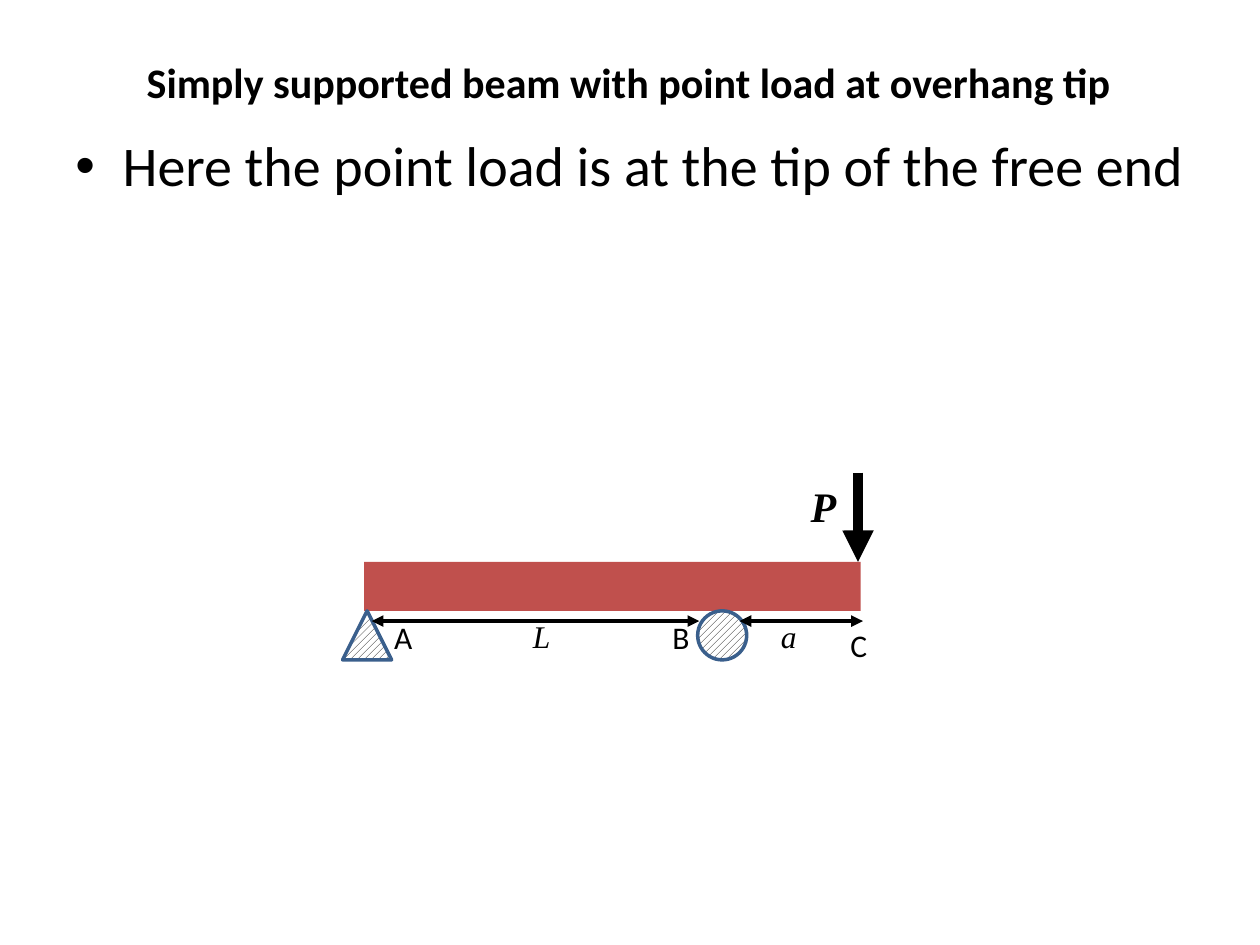
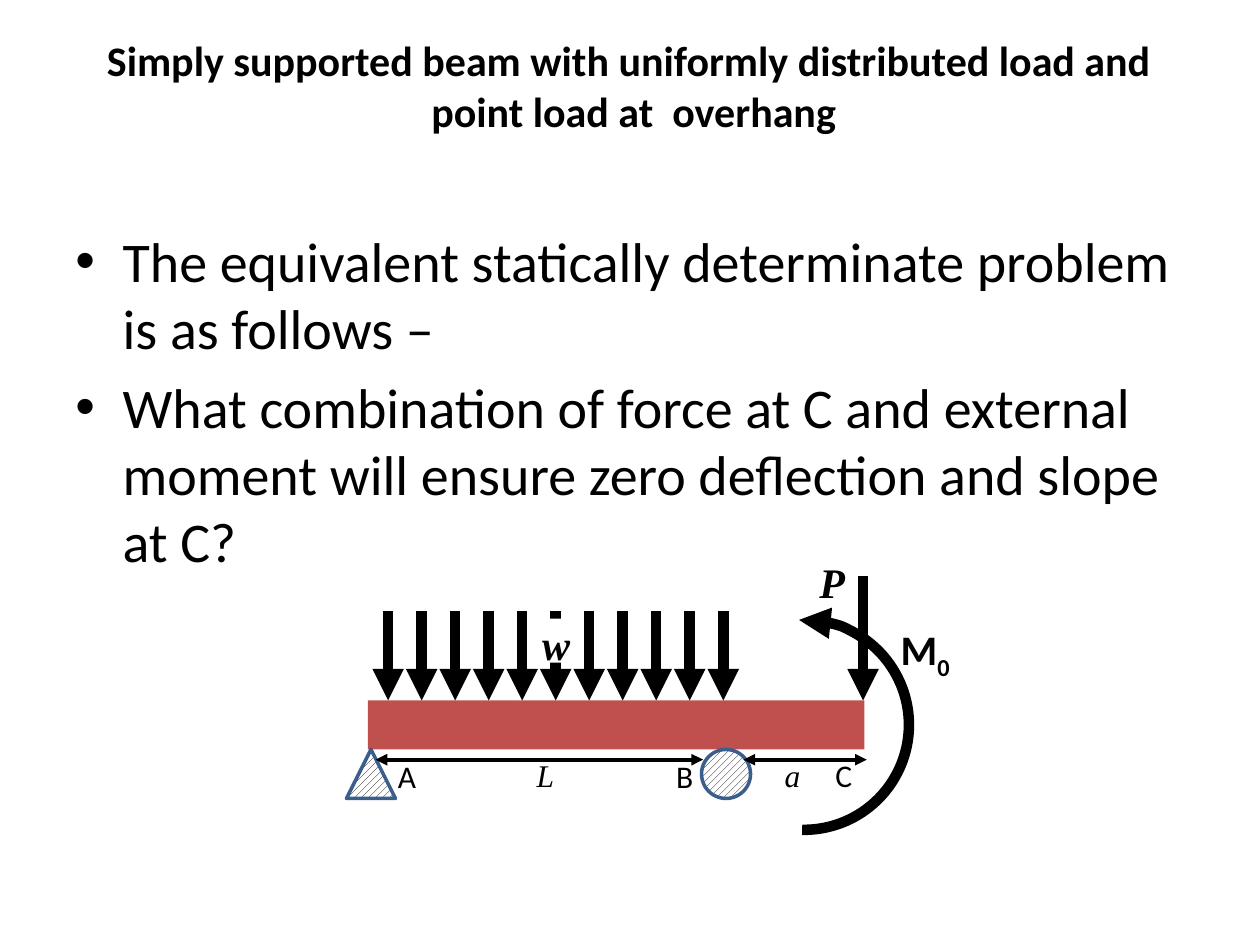
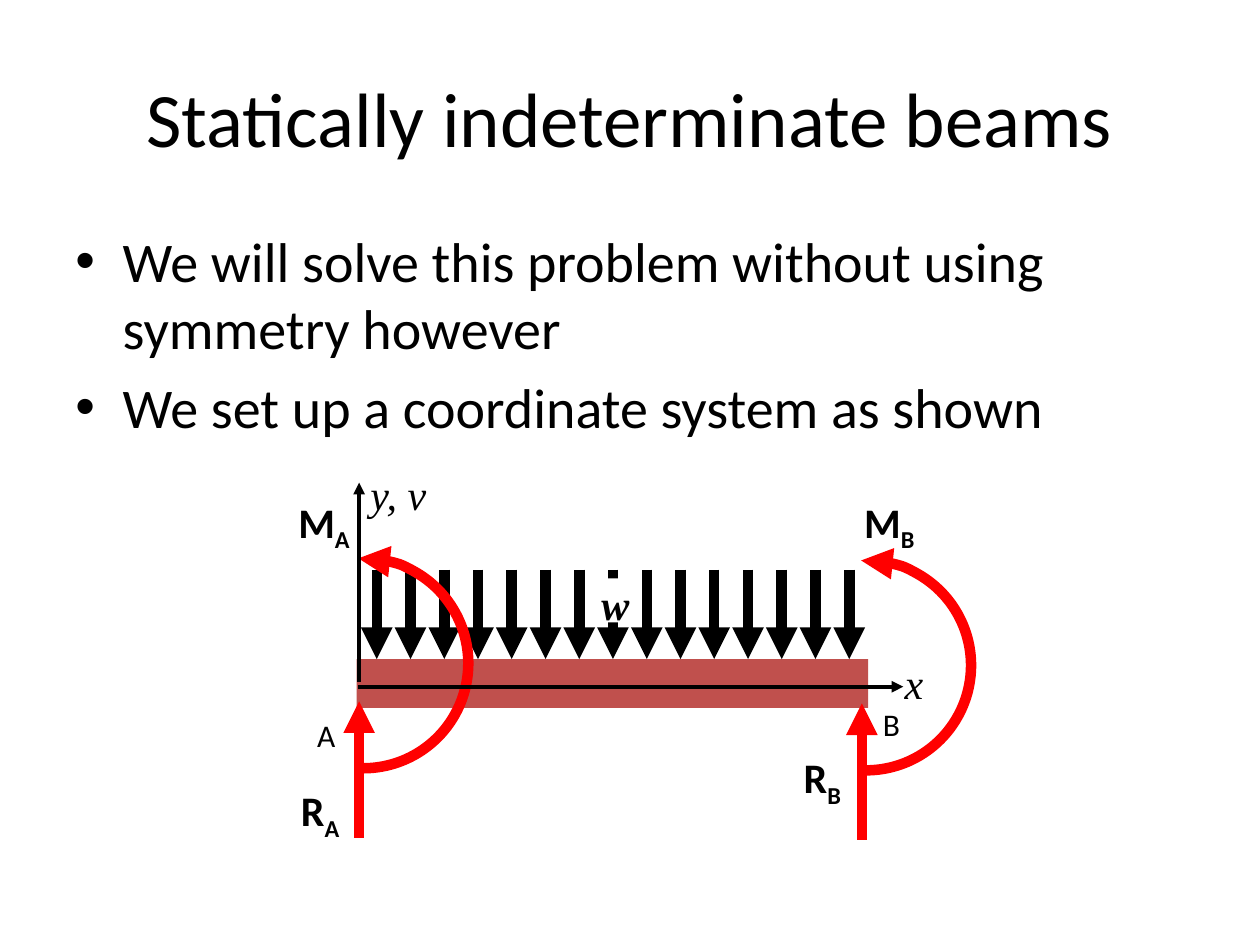
from lxml.etree import SubElement
from pptx import Presentation
from pptx.dml.color import RGBColor
from pptx.enum.dml import MSO_PATTERN
from pptx.enum.shapes import MSO_CONNECTOR, MSO_SHAPE
from pptx.enum.text import MSO_ANCHOR, PP_ALIGN
from pptx.oxml.ns import qn
from pptx.util import Pt

COLORS = {"ink": "000000", "paper": "FFFFFF", "beam": "C0504D",
          "support": "3A5F8C", "reaction": "FF0000"}
SANS, SERIF = "Calibri", "Times New Roman"
BEAM_DEPTH = SUPPORT = 28
LOAD_LENGTH = 51.1
HEAVY, THIN = 6, 2.25


def color(name):
    return RGBColor.from_string(COLORS[name])


def write_span(para, text, size=18, font=SANS, bold=False, italic=False, lowered=False):
    """Add one formatted run to a paragraph."""
    span = para.add_run()
    span.text = text
    span.font.size, span.font.name = Pt(size), font
    span.font.bold, span.font.italic = bold, italic
    span.font.color.rgb = color("ink")
    if lowered:
        span._r.get_or_add_rPr().set("baseline", "-25000")


def add_arrowheads(line, *ends):
    for end in ends:
        SubElement(line._get_or_add_ln(), qn(f"a:{end}"), type="triangle")


class BeamDeck:
    def __init__(self):
        self.deck = Presentation()
        self.deck.slide_width, self.deck.slide_height = Pt(720), Pt(540)
        self.page = None

    # Page text
    def new_page(self):
        self.page = self.deck.slides.add_slide(self.deck.slide_layouts[6])

    def text_box(self, left, top, width, height):
        box = self.page.shapes.add_textbox(Pt(left), Pt(top), Pt(width), Pt(height))
        box.text_frame.word_wrap = True
        return box

    def title(self, text, left=36, width=652.3, height=54, size=24, bold=True):
        frame = self.text_box(left, 21.6, width, height).text_frame
        frame.vertical_anchor = MSO_ANCHOR.MIDDLE
        para = frame.paragraphs[0]
        para.alignment = PP_ALIGN.CENTER
        write_span(para, text, size=size, bold=bold)

    def bullets(self, *items, top=126):
        frame = self.text_box(36, top, 648, 482.4 - top).text_frame
        for index, item in enumerate(items):
            para = frame.add_paragraph() if index else frame.paragraphs[0]
            if index:
                para.space_before = Pt(6.4)
            props = para._p.get_or_add_pPr()
            props.set("marL", str(Pt(27)))
            props.set("indent", str(-Pt(27)))
            SubElement(props, qn("a:buFont"), typeface="Arial")
            SubElement(props, qn("a:buChar"), char="•")
            write_span(para, item, size=32)

    # Labels
    def label(self, text, left, top, width=28, subscript=None, **style):
        para = self.text_box(left, top, width, 28.8).text_frame.paragraphs[0]
        write_span(para, text, **style)
        if subscript:
            write_span(para, subscript, lowered=True, **style)

    def symbol(self, text, left, top):
        self.label(text, left, top, font=SERIF, italic=True)

    def axis_name(self, text, left, top):
        self.label(text, left, top, width=57, size=24, font=SERIF, italic=True)

    def vector_name(self, text, subscript, left, top):
        self.label(text, left, top, width=50, subscript=subscript, size=24, bold=True)

    def load_name(self, text, left, top, height=28.8):
        box = self.text_box(left, top, 25.2, height)
        box.fill.solid()
        box.fill.fore_color.rgb = color("paper")
        frame = box.text_frame
        frame.margin_left = Pt(6)
        frame.margin_top = frame.margin_right = frame.margin_bottom = 0
        write_span(frame.paragraphs[0], text, size=24, font=SERIF, bold=True, italic=True)

    # Lines
    def arrow(self, start, end, weight=HEAVY, ink="ink", double=False):
        line = self.page.shapes.add_connector(
            MSO_CONNECTOR.STRAIGHT, *(Pt(value) for value in (*start, *end)))
        line.line.width = Pt(weight)
        line.line.color.rgb = color(ink)
        add_arrowheads(line.line, *(["headEnd"] if double else []), "tailEnd")
        SubElement(line._element.spPr, qn("a:effectLst"))

    def dimension(self, left, right, y):
        self.arrow((left, y), (right, y), THIN, double=True)

    def distributed_load(self, first, last, count, beam_top):
        top = beam_top - LOAD_LENGTH
        gap = (last - first) / (count - 1)
        for index in range(count):
            x = first + index * gap
            self.arrow((x, top), (x, beam_top))

    # Shapes
    def shape(self, kind, left, top, width, height):
        shape = self.page.shapes.add_shape(kind, Pt(left), Pt(top), Pt(width), Pt(height))
        shape.shadow.inherit = False
        return shape

    def beam(self, left, top, length):
        bar = self.shape(MSO_SHAPE.RECTANGLE, left, top, length, BEAM_DEPTH)
        bar.fill.solid()
        bar.fill.fore_color.rgb = color("beam")
        bar.line.fill.background()

    def support(self, kind, left, top):
        shape = self.shape(kind, left, top, SUPPORT, SUPPORT)
        shape.fill.patterned()
        shape.fill.pattern = MSO_PATTERN.WIDE_UPWARD_DIAGONAL
        shape.fill.fore_color.rgb = color("ink")
        shape.fill.back_color.rgb = color("paper")
        shape.line.width = Pt(2)
        shape.line.color.rgb = color("support")

    def moment(self, left, top, ink="ink"):
        arc = self.shape(MSO_SHAPE.ARC, left, top, 120, 120)
        # Angles count 0.6 per degree: just past the top round to just past the bottom
        arc.adjustments[0], arc.adjustments[1] = 160.4, 54.6
        arc.fill.background()
        arc.line.width = Pt(HEAVY)
        arc.line.color.rgb = color(ink)
        add_arrowheads(arc.line, "headEnd")

    def overhang_beam(self, left, top, tip_label):
        """Beam on supports A and B, with free end C and its dimensions."""
        under = top + BEAM_DEPTH
        self.beam(left, top, 283.7)
        self.label("A", left + 10, under + 0.8)
        self.label("B", left + 169, under + 0.8)
        self.label("C", left + tip_label[0], under + tip_label[1])
        self.support(MSO_SHAPE.ISOSCELES_TRIANGLE, left - 12.3, under)
        self.support(MSO_SHAPE.OVAL, left + 190.6, under)
        self.dimension(left + 4.3, left + 191.5, under + 5.8)
        self.symbol("L", left + 89.3, under)
        self.dimension(left + 214.5, left + 285, under + 5.8)
        self.symbol("a", left + 231, under)


def point_load_slide(show):
    show.new_page()
    show.bullets("Here the point load is at the tip of the free end", top=71.3)
    show.overhang_beam(208.1, 321.1, tip_label=(270.7, 5))
    show.arrow((490.3, 270), (490.3, 321.1))
    show.load_name("P", 457.2, 274.3)
    show.title("Simply supported beam with point load at overhang tip", left=33.1, height=49.7)


def combined_load_slide(show):
    show.new_page()
    show.title("Simply supported beam with uniformly distributed load and  point load at  overhang")
    show.bullets(
        "The equivalent statically determinate problem is as follows –",
        "What combination of force at C and external moment will ensure zero "
        "deflection and slope at C?")
    beam_top = 400.3
    show.overhang_beam(210.3, beam_top, tip_label=(260, 0))
    show.distributed_load(221.8, 413.3, 11, beam_top)
    show.load_name("w", 303.8, 353.5, height=25.2)
    show.arrow((493.2, 329), (493.2, beam_top))
    show.load_name("P", 462.2, 318.2)
    show.moment(399.4, 354.2)
    show.vector_name("M", "0", 507.6, 352.8)


def indeterminate_slide(show):
    show.new_page()
    show.title("Statically indeterminate beams", width=648, height=90, size=44, bold=False)
    show.bullets("We will solve this problem without using symmetry however",
                 "We set up a coordinate system as shown")
    beam_top = 376.6
    show.axis_name("x", 509.8, 372.2)
    show.beam(203.8, beam_top, 292.3)
    show.label("A", 174.2, 405.4)
    show.label("B", 497.5, 399.6)
    show.distributed_load(215.3, 485.3, 15, beam_top)
    show.load_name("w", 337.7, 330.5, height=25.2)
    # Reactions and end moments
    for end, x, moment_top, force_label, moment_label in (
            ("A", 205.2, 319, (164.9, 445), (163.4, 280)),
            ("B", 492.5, 320.2, (452.2, 426.2), (486.7, 280))):
        show.arrow((x, moment_top + 159.6), (x, moment_top + 81.8), ink="reaction")
        show.moment(x - 57.6, moment_top, ink="reaction")
        show.vector_name("R", end, *force_label)
        show.vector_name("M", end, *moment_label)
    # Axes
    show.arrow((205.2, 389.5), (205.2, 275.8), THIN)
    show.arrow((204.5, 392.4), (516.2, 392.4), THIN)
    show.axis_name("y, v", 204.5, 264.2)


def main():
    show = BeamDeck()
    point_load_slide(show)
    combined_load_slide(show)
    indeterminate_slide(show)
    show.deck.save("out.pptx")


if __name__ == "__main__":
    main()
